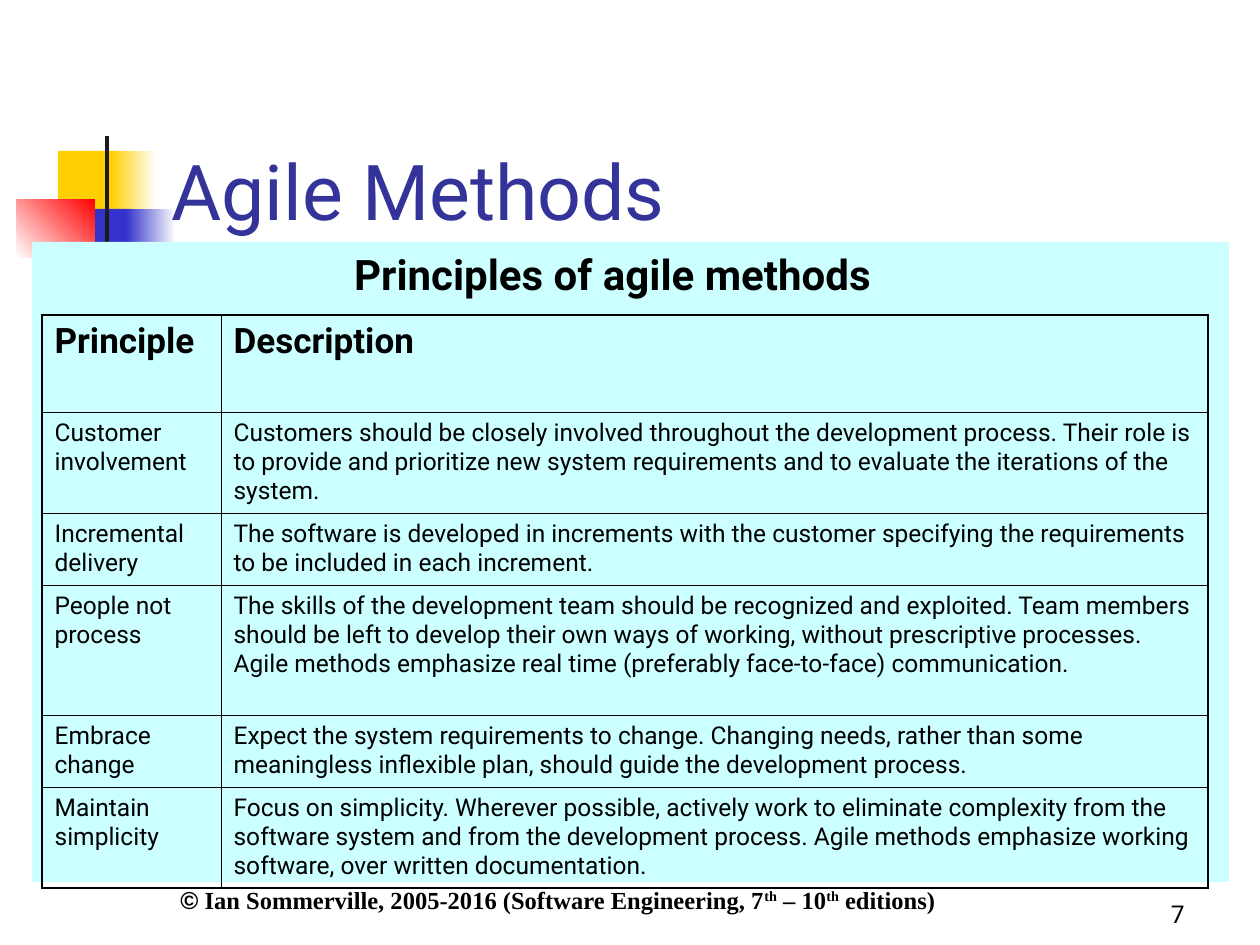
from lxml.etree import SubElement
from pptx import Presentation
from pptx.dml.color import RGBColor
from pptx.enum.shapes import MSO_SHAPE
from pptx.enum.text import MSO_ANCHOR, PP_ALIGN
from pptx.oxml import parse_xml
from pptx.oxml.ns import nsdecls, qn
from pptx.util import Pt

EMU_PER_PX = 914400 / 126
COLORS = {
    "yellow": "FFCF01", "blue": "3333CC", "red": "FF0000", "white": "FFFFFF",
    "bar": "1C1C1C", "title": "333399", "panel": "CCFFFF", "black": "000000",
}
BODY = {"name": "Roboto", "size": Pt(14), "bold": False}
HEADER = BODY | {"size": Pt(20), "bold": True}
CREDIT = {"name": "Times New Roman", "size": Pt(14), "bold": True}
OUTER, INNER = Pt(1.08), Pt(0.45)

# box, colours (two make a gradient), gradient angle
ORNAMENTS = [
    ((58, 151, 60, 66), ["yellow"], 0),
    ((111, 151, 45, 66), ["yellow", "white"], 0),
    ((74, 209, 58, 66), ["blue"], 0),
    ((126, 209, 50, 66), ["blue", "white"], 0),
    ((17, 199, 78, 59), ["white", "red"], 45),
    ((105, 136, 4, 145), ["bar"], 0),
]
COL_WIDTHS = [179, 987]
ROW_HEIGHTS = [97, 101, 72, 130, 72, 101]
PRINCIPLES = [
    ("Principle", "Description"),
    ("Customer involvement",
     "Customers should be closely involved throughout the development process. "
     "Their role is to provide and prioritize new system requirements and to "
     "evaluate the iterations of the system."),
    ("Incremental delivery",
     "The software is developed in increments with the customer specifying the "
     "requirements to be included in each increment."),
    ("People not process",
     "The skills of the development team should be recognized and exploited. "
     "Team members should be left to develop their own ways of working, without "
     "prescriptive processes. Agile methods emphasize real time (preferably "
     "face-to-face) communication."),
    ("Embrace change",
     "Expect the system requirements to change. Changing needs, rather than some "
     "meaningless inflexible plan, should guide the development process."),
    ("Maintain simplicity",
     "Focus on simplicity. Wherever possible, actively work to eliminate "
     "complexity from the software system and from the development process. "
     "Agile methods emphasize working software, over written documentation."),
]


def px(n):
    return round(n * EMU_PER_PX)


def rgb(name):
    return RGBColor.from_string(COLORS[name])


def add_run(p, text, fmt, color="black"):
    r = p.add_run()
    r.text = text
    for key, value in fmt.items():
        setattr(r.font, key, value)
    r.font.color.rgb = rgb(color)
    return r


def add_rect(s, box, colors, angle=0):
    sp = s.shapes.add_shape(MSO_SHAPE.RECTANGLE, *map(px, box))
    sp.shadow.inherit = False
    sp.line.fill.background()
    if len(colors) == 1:
        sp.fill.solid()
        sp.fill.fore_color.rgb = rgb(colors[0])
    else:
        sp.fill.gradient()
        sp.fill.gradient_angle = angle
        for stop, color in zip(sp.fill.gradient_stops, colors):
            stop.color.rgb = rgb(color)


def add_text(s, box, runs, color="black", align=PP_ALIGN.LEFT,
             anchor=MSO_ANCHOR.TOP, wrap=True):
    """Add a one-paragraph text box from (text, format) pairs."""
    tf = s.shapes.add_textbox(*map(px, box)).text_frame
    tf.word_wrap = wrap
    tf.vertical_anchor = anchor
    p = tf.paragraphs[0]
    p.alignment = align
    for text, fmt in runs:
        add_run(p, text, fmt, color)
    return p


def set_borders(cell, widths):
    """Draw the left, right, top and bottom lines of a cell."""
    tcPr = cell._tc.get_or_add_tcPr()
    for i, (side, width) in enumerate(zip("LRTB", widths)):
        ln = parse_xml(f'<a:ln{side} {nsdecls("a")} w="{width}"/>')
        fill = SubElement(ln, qn("a:solidFill"))
        SubElement(fill, qn("a:srgbClr"), val=COLORS["black"])
        tcPr.insert(i, ln)


def add_principles_table(s):
    n_rows, n_cols = len(ROW_HEIGHTS), len(COL_WIDTHS)
    table = s.shapes.add_table(
        n_rows, n_cols, px(42), px(315),
        px(sum(COL_WIDTHS)), px(sum(ROW_HEIGHTS))).table
    table.first_row = table.horz_banding = False
    for col, width in zip(table.columns, COL_WIDTHS):
        col.width = px(width)
    for i, (row, height) in enumerate(zip(table.rows, ROW_HEIGHTS)):
        row.height = px(height)
        for j, cell in enumerate(row.cells):
            cell.fill.background()
            edges = (j == 0, j == n_cols - 1, i == 0, i == n_rows - 1)
            set_borders(cell, [OUTER if edge else INNER for edge in edges])
            add_run(cell.text_frame.paragraphs[0], PRINCIPLES[i][j],
                    HEADER if i == 0 else BODY)


def add_credit(s):
    p = add_text(s, (168, 882, 819, 39), [
        ("©", CREDIT | {"name": "Arial"}),
        (" Ian Sommerville, 2005-2016 (Software Engineering, 7", CREDIT),
        ("th", CREDIT), (" – 10", CREDIT), ("th", CREDIT),
        (" editions)", CREDIT)])
    p.line_spacing = 0.9
    for r in p.runs:
        if r.text == "th":
            r.font._element.set("baseline", "30000")


def main():
    prs = Presentation()
    prs.slide_width, prs.slide_height = px(1260), px(945)
    s = prs.slides.add_slide(prs.slide_layouts[6])
    for box, colors, angle in ORNAMENTS:
        add_rect(s, box, colors, angle)
    add_text(s, (935, 872, 262, 63), [("7", BODY)],
             align=PP_ALIGN.RIGHT, anchor=MSO_ANCHOR.BOTTOM)
    add_text(s, (159, 84, 1074, 158),
             [("Agile Methods", BODY | {"size": Pt(44)})],
             color="title", anchor=MSO_ANCHOR.BOTTOM)
    add_rect(s, (32, 242, 1197, 640), ["panel"])
    add_principles_table(s)
    add_text(s, (316, 242, 593, 63),
             [("Principles of agile methods", HEADER | {"size": Pt(24)})],
             align=PP_ALIGN.CENTER, wrap=False)
    add_credit(s)
    prs.save("out.pptx")


if __name__ == "__main__":
    main()
